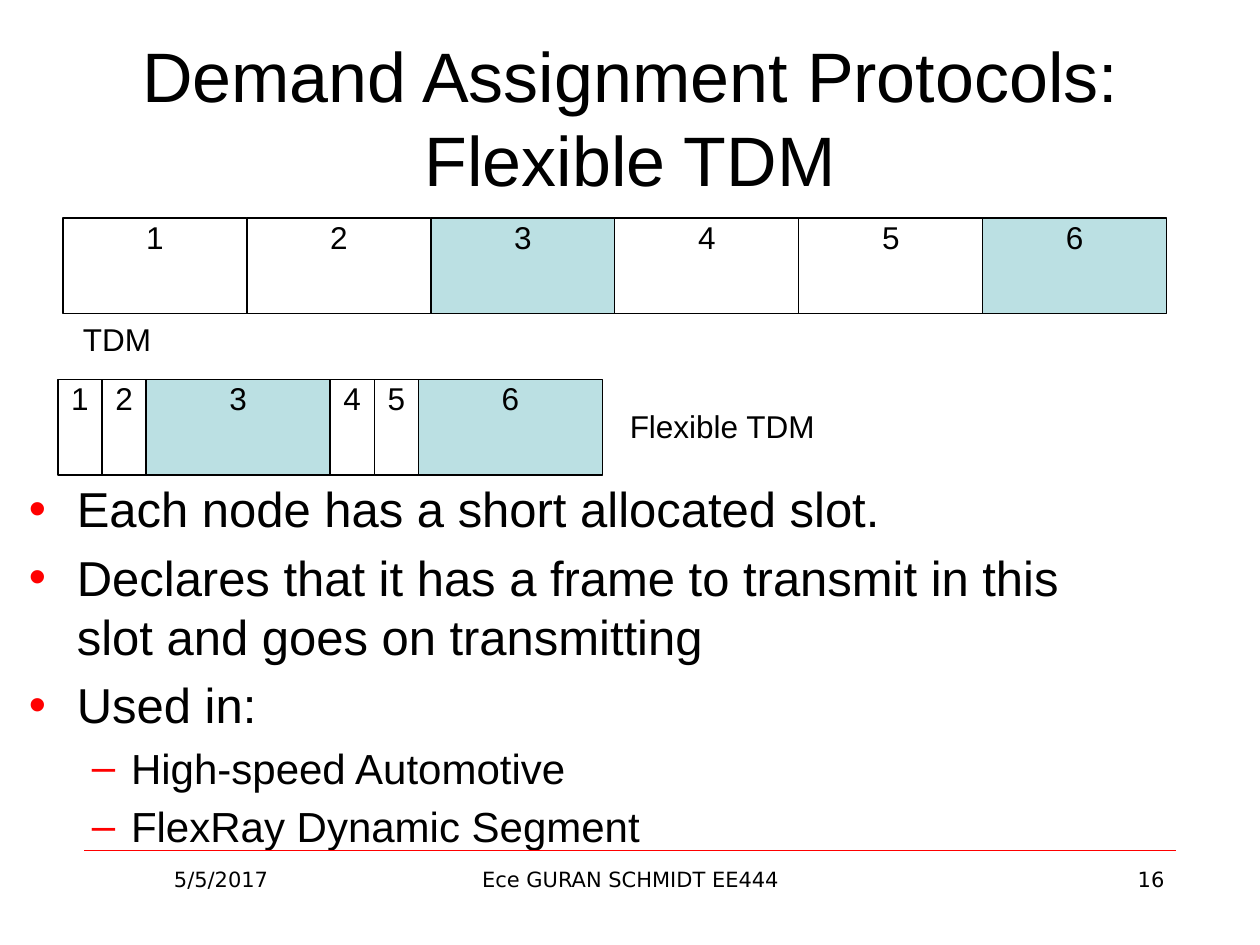
from dataclasses import dataclass

from lxml import etree
from pptx import Presentation
from pptx.dml.color import RGBColor
from pptx.enum.shapes import MSO_CONNECTOR, MSO_SHAPE
from pptx.enum.text import MSO_ANCHOR, MSO_AUTO_SIZE, PP_ALIGN
from pptx.oxml.ns import qn
from pptx.util import Inches, Pt

STRAIGHT = MSO_CONNECTOR.STRAIGHT
RECTANGLE = MSO_SHAPE.RECTANGLE
TOP, MIDDLE = MSO_ANCHOR.TOP, MSO_ANCHOR.MIDDLE
NO_FIT = MSO_AUTO_SIZE.NONE
LEFT, CENTER, RIGHT = PP_ALIGN.LEFT, PP_ALIGN.CENTER, PP_ALIGN.RIGHT


@dataclass(frozen=True)
class Theme:
    font: str = "Arial"
    footer_font: str = "DejaVu Sans"
    text: RGBColor = RGBColor(0, 0, 0)
    accent: RGBColor = RGBColor(255, 0, 0)
    busy_slot: RGBColor = RGBColor(0xBB, 0xE0, 0xE3)
    title_size: int = 40
    body_sizes: tuple = (28, 24)
    label_size: int = 18
    footer_size: int = 12


THEME = Theme()
TITLE = "Demand Assignment Protocols: Flexible TDM"
BULLETS = [
    (0, "Each node has a short allocated slot."),
    (0, "Declares that it has a frame to transmit in this slot and goes on transmitting"),
    (0, "Used in:"),
    (1, "High-speed Automotive"),
    (1, "FlexRay Dynamic Segment"),
]
BULLET_STYLES = [("•", 0.38, -0.38), ("–", 0.81, -0.31)]
BUSY_SLOTS = (3, 6)
SLOT_COUNT = 6
LONG_SLOT, SHORT_SLOT, SLOT_HEIGHT = 1.46, 0.35, 0.76
FOOTERS = [
    (0.67, 2.17, "5/5/2017", CENTER),
    (3.42, 3.17, "Ece GURAN SCHMIDT EE444", CENTER),
    (7.17, 2.17, "16", RIGHT),
]


def place(shape, left, top, width, height):
    shape.left, shape.top = Inches(left), Inches(top)
    shape.width, shape.height = Inches(width), Inches(height)


def format_paragraph(paragraph, size, alignment=LEFT, font=THEME.font):
    paragraph.alignment = alignment
    for run in paragraph.runs:
        run.font.size = Pt(size)
        run.font.name = font
        run.font.color.rgb = THEME.text


def set_space_before(paragraph, percent):
    properties = paragraph._p.get_or_add_pPr()
    spacing = etree.SubElement(properties, qn("a:spcBef"))
    etree.SubElement(spacing, qn("a:spcPct"), val=str(percent * 1000))


def set_bullet(paragraph, character, margin, indent):
    properties = paragraph._p.get_or_add_pPr()
    properties.set("marL", str(Inches(margin)))
    properties.set("indent", str(Inches(indent)))
    color = etree.SubElement(properties, qn("a:buClr"))
    etree.SubElement(color, qn("a:srgbClr"), val=str(THEME.accent))
    etree.SubElement(properties, qn("a:buFont"), typeface=THEME.font)
    etree.SubElement(properties, qn("a:buChar"), char=character)


def fill_title(slide):
    title = slide.shapes.title
    place(title, 0.5, 0.3, 9, 1.25)
    title.text_frame.text = TITLE
    title.text_frame.auto_size = NO_FIT
    title.text_frame.vertical_anchor = MIDDLE
    format_paragraph(title.text_frame.paragraphs[0], THEME.title_size, CENTER)


def fill_body(slide):
    body = slide.placeholders[1]
    place(body, 0.13, 3.75, 9, 3.6)
    frame = body.text_frame
    frame.text = "\n".join(text for _, text in BULLETS)
    frame.auto_size = NO_FIT
    frame.vertical_anchor = TOP
    for paragraph, (level, _) in zip(frame.paragraphs, BULLETS):
        paragraph.level = level
        format_paragraph(paragraph, THEME.body_sizes[level])
        set_space_before(paragraph, 20)
        set_bullet(paragraph, *BULLET_STYLES[level])


def add_footer_line(slide):
    line = slide.shapes.add_connector(
        STRAIGHT, Inches(0.67), Inches(6.75), Inches(9.33), Inches(6.75))
    line.line.color.rgb = THEME.accent
    line.line.width = Pt(0.25)
    etree.SubElement(line._element.spPr, qn("a:effectLst"))


def add_text(slide, left, top, width, height, text, wrap=False):
    box = slide.shapes.add_textbox(
        Inches(left), Inches(top), Inches(width), Inches(height))
    box.text_frame.text = text
    box.text_frame.word_wrap = wrap
    return box.text_frame.paragraphs[0]


def add_label(slide, left, top, width, text):
    paragraph = add_text(slide, left, top, width, 0.4, text)
    format_paragraph(paragraph, THEME.label_size)
    set_space_before(paragraph, 50)


def add_footer(slide, left, width, text, alignment):
    paragraph = add_text(slide, left, 6.83, width, 0.52, text, wrap=True)
    format_paragraph(paragraph, THEME.footer_size, alignment, THEME.footer_font)


def add_slot(group, left, top, width, number):
    slot = group.shapes.add_shape(
        RECTANGLE, Inches(left), Inches(top), Inches(width), Inches(SLOT_HEIGHT))
    slot.shadow.inherit = False
    if number in BUSY_SLOTS:
        slot.fill.solid()
        slot.fill.fore_color.rgb = THEME.busy_slot
    else:
        slot.fill.background()
    slot.line.color.rgb = THEME.text
    slot.line.width = Pt(0.75)
    frame = slot.text_frame
    frame.text = str(number)
    frame.vertical_anchor = TOP
    frame.margin_left = frame.margin_right = 0
    frame.margin_top = frame.margin_bottom = 0
    format_paragraph(frame.paragraphs[0], THEME.label_size, CENTER)
    set_space_before(frame.paragraphs[0], 50)


def add_frame(slide, left, top, idle_width):
    group = slide.shapes.add_group_shape()
    for number in range(1, SLOT_COUNT + 1):
        width = LONG_SLOT if number in BUSY_SLOTS else idle_width
        add_slot(group, left, top, width, number)
        left += width


def main():
    presentation = Presentation()
    presentation.slide_width, presentation.slide_height = Inches(10), Inches(7.5)
    slide = presentation.slides.add_slide(presentation.slide_layouts[1])
    add_footer_line(slide)
    fill_title(slide)
    fill_body(slide)
    for footer in FOOTERS:
        add_footer(slide, *footer)
    add_frame(slide, 0.46, 3.01, SHORT_SLOT)
    add_frame(slide, 0.5, 1.73, LONG_SLOT)
    add_label(slide, 0.56, 2.49, 0.75, "TDM")
    add_label(slide, 4.9, 3.18, 1.68, "Flexible TDM")
    presentation.save("out.pptx")


if __name__ == "__main__":
    main()
